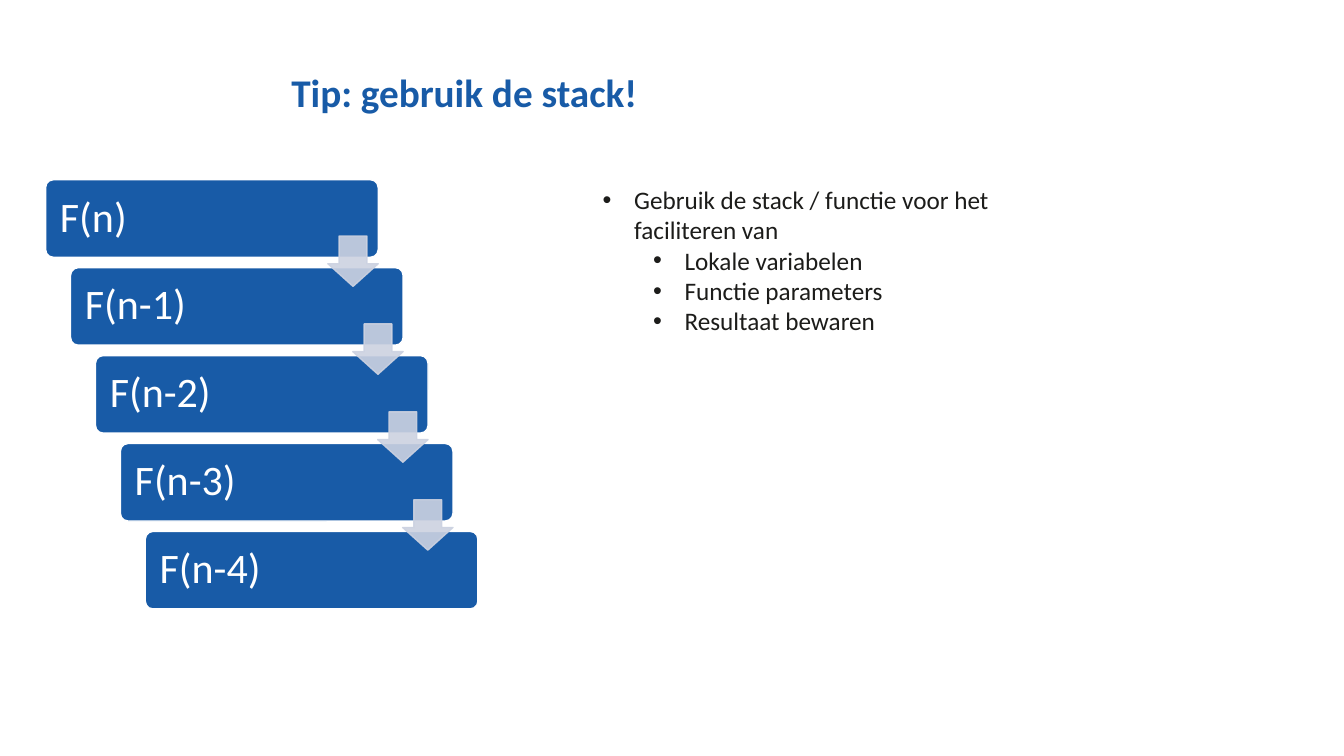
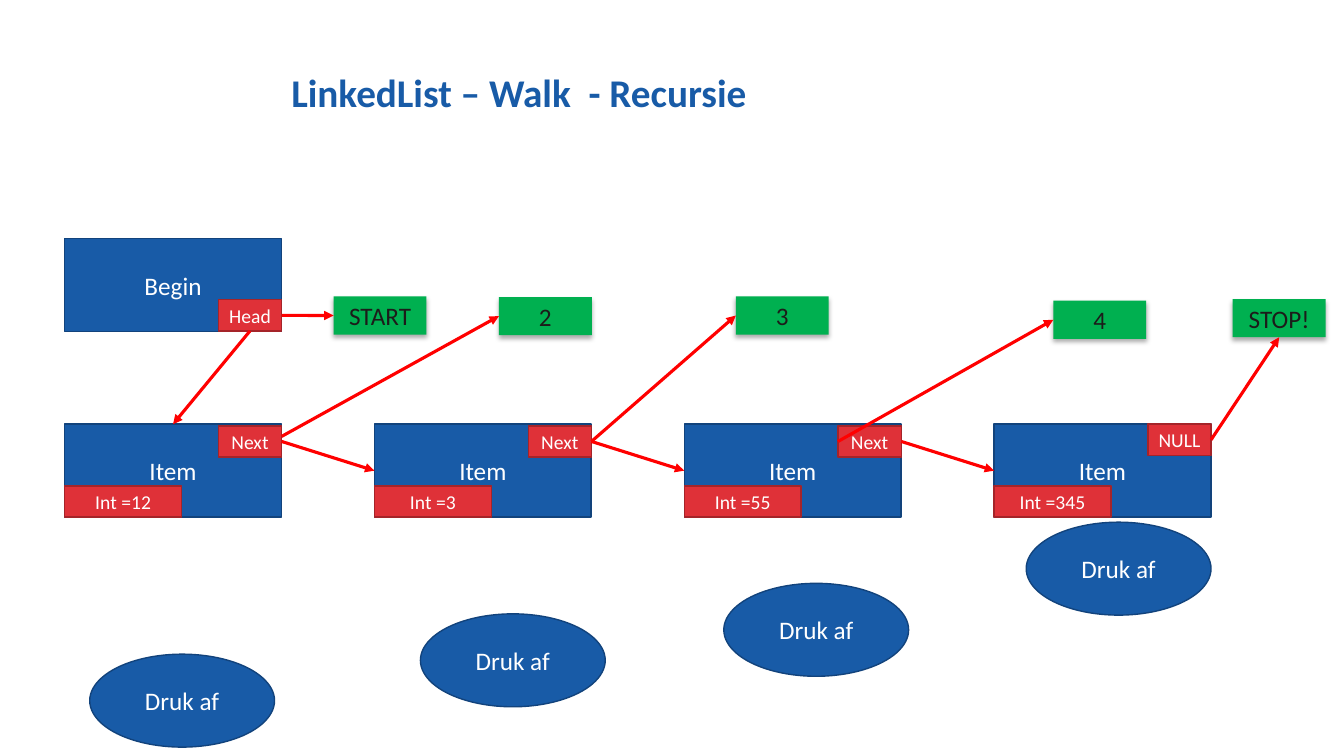
from lxml.etree import SubElement
from pptx import Presentation
from pptx.dml.color import RGBColor
from pptx.enum.shapes import MSO_CONNECTOR, MSO_SHAPE
from pptx.enum.text import MSO_ANCHOR, MSO_AUTO_SIZE, PP_ALIGN
from pptx.oxml.ns import qn
from pptx.util import Pt

FONT = "Calibri"
BLUE, BLUE_EDGE = "185BA7", "12437C"
RED, RED_EDGE = "DF3138", "A52429"
GREEN, LINK_RED, PALE = "00B050", "FF0000", "CCD2E1"
WHITE, INK = "FFFFFF", "1C1C1A"
TOP, LEFT, BOTTOM, RIGHT = range(4)


def paint(color_owner, color):
    """Give a fill a solid colour from a hex string."""
    color_owner.solid()
    color_owner.fore_color.rgb = RGBColor.from_string(color)


def add_text(paragraph, text, size, color, bold=False):
    """Add one formatted run to a paragraph."""
    run = paragraph.add_run()
    run.text = text
    run.font.name = FONT
    run.font.size = Pt(size)
    run.font.bold = bold
    run.font.color.rgb = RGBColor.from_string(color)


def set_insets(frame, inset):
    """Set the same inset on all four sides of a text frame."""
    frame.margin_left = frame.margin_right = Pt(inset)
    frame.margin_top = frame.margin_bottom = Pt(inset)


def add_box(slide, preset, box, fill, edge=None, text="", size=18,
            color=WHITE, align=PP_ALIGN.CENTER, inset=0):
    """Draw a flat preset shape with an optional label."""
    shape = slide.shapes.add_shape(preset, *map(Pt, box))
    shape.shadow.inherit = False
    paint(shape.fill, fill)
    if edge:
        paint(shape.line.fill, edge)
        shape.line.width = Pt(1)
    else:
        shape.line.fill.background()
    if text:
        frame = shape.text_frame
        frame.word_wrap = True
        frame.vertical_anchor = MSO_ANCHOR.MIDDLE
        set_insets(frame, inset)
        frame.paragraphs[0].alignment = align
        add_text(frame.paragraphs[0], text, size, color)
    return shape


def set_alpha(element, percent):
    """Make every colour below an element partly transparent."""
    for color in element.iter(qn("a:srgbClr")):
        SubElement(color, qn("a:alpha"), val=str(percent * 1000))


def add_titled_slide(deck, title):
    """Add a title-only slide with the shared title style."""
    slide = deck.slides.add_slide(deck.slide_layouts[5])
    heading = slide.shapes.title
    heading.left, heading.top, heading.width, heading.height = map(
        Pt, (208.1, 54, 676, 27.4))
    frame = heading.text_frame
    frame.auto_size = MSO_AUTO_SIZE.NONE
    frame.vertical_anchor = MSO_ANCHOR.MIDDLE
    set_insets(frame, 0)
    paragraph = frame.paragraphs[0]
    paragraph.alignment = PP_ALIGN.LEFT
    paragraph.line_spacing = 0.9
    add_text(paragraph, title, 28, BLUE, bold=True)
    return slide


def add_call_stack(slide, left, top, calls):
    """Draw a staircase of calls joined by block arrows."""
    width, height, step_x, step_y, arrow_size = 237.6, 55.4, 17.8, 62.8, 36
    corners = [(left + i * step_x, top + i * step_y) for i in range(len(calls))]
    for call, (x, y) in zip(calls, corners):
        bar = add_box(slide, MSO_SHAPE.ROUNDED_RECTANGLE, (x, y, width, height),
                      BLUE, WHITE, call, 30, align=PP_ALIGN.LEFT, inset=8.64)
        bar.adjustments[0] = 0.1
        bar.text_frame.paragraphs[0].line_spacing = 0.9
    for x, y in corners[:-1]:
        arrow = add_box(slide, MSO_SHAPE.DOWN_ARROW,
                        (x + width - arrow_size, y + 40.2, arrow_size, arrow_size),
                        PALE, PALE)
        arrow.adjustments[0], arrow.adjustments[1] = 0.55, 0.45
        set_alpha(arrow.element.spPr, 90)


def add_bullets(slide, box, items):
    """Write a bulleted list of (level, text) items."""
    frame = slide.shapes.add_textbox(*map(Pt, box)).text_frame
    frame.word_wrap = True
    frame.auto_size = MSO_AUTO_SIZE.SHAPE_TO_FIT_TEXT
    for i, (level, text) in enumerate(items):
        paragraph = frame.add_paragraph() if i else frame.paragraphs[0]
        paragraph.level = level
        properties = paragraph._p.get_or_add_pPr()
        properties.set("marL", str(Pt(22.5 + 36 * level)))
        properties.set("indent", str(Pt(-22.5)))
        SubElement(properties, qn("a:buFont"), typeface="Arial")
        SubElement(properties, qn("a:buChar"), char="•")
        add_text(paragraph, text, 18, INK)


def add_node(slide, left, top, name):
    """Draw one blue list node."""
    return add_box(slide, MSO_SHAPE.RECTANGLE, (left, top, 154.8, 66.4),
                   BLUE, BLUE_EDGE, name)


def add_tag(slide, left, top, width, text):
    """Draw one red field tag."""
    return add_box(slide, MSO_SHAPE.RECTANGLE, (left, top, width, 22.3),
                   RED, RED_EDGE, text, 14)


def add_step(slide, left, top, text):
    """Draw one green step marker with a soft shadow."""
    step = add_box(slide, MSO_SHAPE.RECTANGLE, (left, top, 66.4, 27.2),
                   GREEN, text=text, color=INK)
    effects = step.element.spPr.find(qn("a:effectLst"))
    shadow = SubElement(effects, qn("a:outerShdw"), blurRad=str(Pt(3.5)),
                        dist=str(Pt(2.2)), dir="5400000", rotWithShape="0")
    SubElement(shadow, qn("a:srgbClr"), val="000000")
    set_alpha(effects, 32)
    return step


def connect(slide, source, source_side, target, target_side, lift=0):
    """Draw a red arrow between two sides; a lifted start stays loose."""
    start_x = source.left + source.width
    start_y = source.top + source.height // 2 - Pt(lift)
    link = slide.shapes.add_connector(
        MSO_CONNECTOR.STRAIGHT, start_x, start_y, target.left, target.top)
    if not lift:
        link.begin_connect(source, source_side)
    link.end_connect(target, target_side)
    paint(link.line.fill, LINK_RED)
    link.line.width = Pt(2.25)
    SubElement(link.line._get_or_add_ln(), qn("a:tailEnd"), type="triangle")
    SubElement(link._element.spPr, qn("a:effectLst"))


def add_linked_list(slide, left, top, values):
    """Draw the list with its head and return the pointer tags."""
    pitch, tag_width, tag_offset, item_top = 221.3, 45.2, 109.8, top + 132.5
    add_node(slide, left, top, "Begin")
    items = [add_node(slide, left + i * pitch, item_top, "Item")
             for i in range(len(values))]
    head = add_tag(slide, left + tag_offset, top + 43.6, tag_width, "Head")
    pointers = []
    for i, value in enumerate(values):
        x = left + i * pitch
        last = i == len(values) - 1
        pointers.append(add_tag(slide, x + tag_offset, item_top + (0 if last else 1.2),
                                tag_width, "NULL" if last else "Next"))
        add_tag(slide, x, item_top + 44.1, 83.5, f"Int ={value}")
    connect(slide, head, BOTTOM, items[0], TOP)
    for pointer, item in zip(pointers, items[1:]):
        connect(slide, pointer, RIGHT, item, LEFT)
    return [head] + pointers


def add_walk(slide, pointers, left, top):
    """Mark the order in which the pointers are followed."""
    route = [
        ("START", 0, 0, RIGHT, LEFT, 0),
        ("2", 118.1, 0.4, RIGHT, LEFT, 3.6),
        ("3", 287.3, 0, RIGHT, LEFT, 0),
        ("4", 514.1, 3, LEFT, LEFT, 0),
        ("STOP!", 642.2, 1.9, RIGHT, BOTTOM, 0),
    ]
    for pointer, (text, dx, dy, start, end, lift) in zip(pointers, route):
        step = add_step(slide, left + dx, top + dy, text)
        connect(slide, pointer, start, step, end, lift)


def add_prints(slide, left, top):
    """Draw the print calls, rising as the recursion returns."""
    for dx, dy in ((0, 94.3), (236.2, 65.5), (452.9, 43.7), (668.9, 0)):
        add_box(slide, MSO_SHAPE.OVAL, (left + dx, top + dy, 132, 66.4),
                BLUE, BLUE_EDGE, "Druk af")


def main():
    """Build and save the deck."""
    deck = Presentation()
    deck.slide_width, deck.slide_height = Pt(960), Pt(540)

    stack = add_titled_slide(deck, "Tip: gebruik de stack!")
    add_call_stack(stack, 32.6, 128.4, ["F(n)", "F(n-1)", "F(n-2)", "F(n-3)", "F(n-4)"])
    add_bullets(stack, (423.4, 128.2, 301.7, 116.6), [
        (0, "Gebruik de stack / functie voor het faciliteren van"),
        (1, "Lokale variabelen"),
        (1, "Functie parameters"),
        (1, "Resultaat bewaren"),
    ])

    walk = add_titled_slide(deck, "LinkedList – Walk  - Recursie")
    pointers = add_linked_list(walk, 46.2, 170.5, [12, 3, 55, 345])
    add_walk(walk, pointers, 238.3, 211.8)
    add_prints(walk, 64.1, 373)

    deck.save("out.pptx")


if __name__ == "__main__":
    main()
